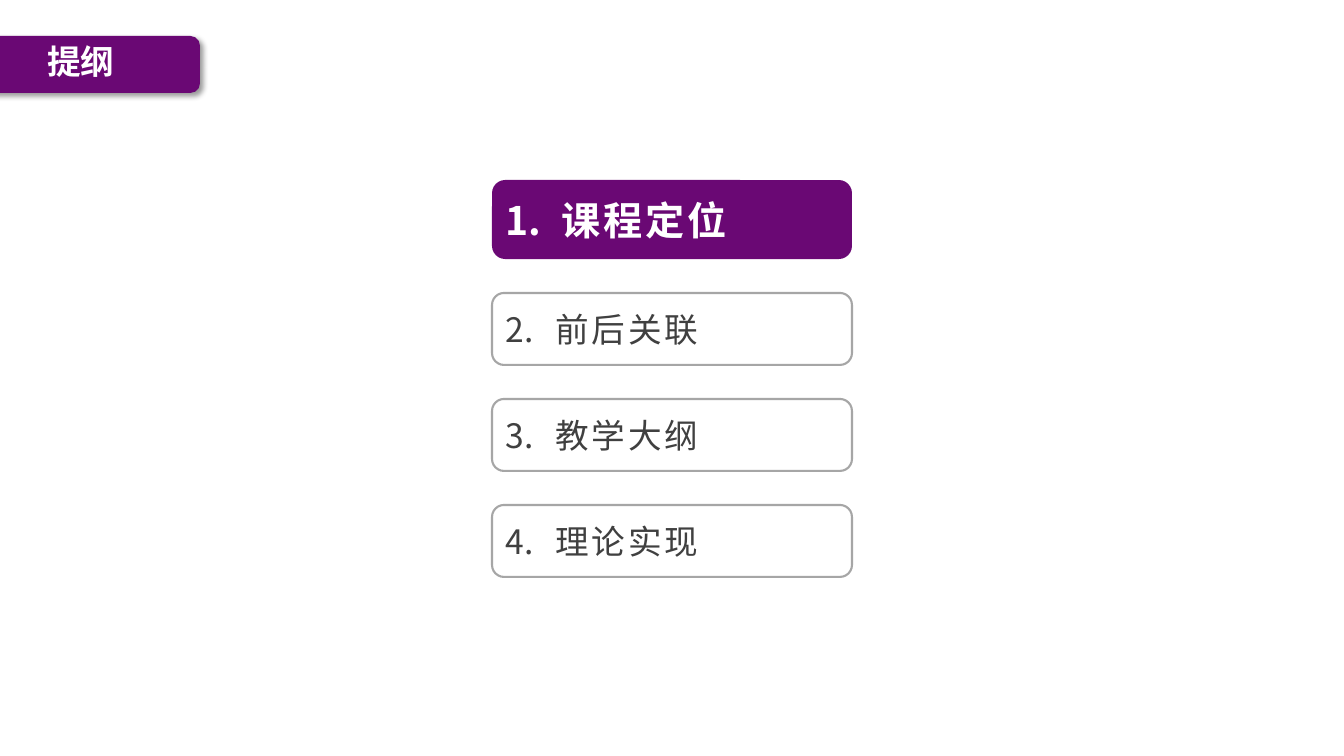
from lxml import etree
from pptx import Presentation
from pptx import util as u
from pptx.dml.color import RGBColor
from pptx.enum import shapes, text
from pptx.oxml.ns import qn

PX = 914400 / 100.8
FONT = "Noto Sans CJK SC"
COLORS = {"purple": "6A0874", "white": "FFFFFF", "border": "A6A6A6", "ink": "404040", "shadow": "000000"}


def px(*lengths):
    return [u.Emu(round(length * PX)) for length in lengths]


def style_run(span, latin, size, color, bold):
    span.font.name = latin
    span.font.size = u.Pt(size)
    span.font.bold = bold
    span.font.color.rgb = RGBColor.from_string(COLORS[color])
    etree.SubElement(span.font._element, qn("a:ea"), typeface=FONT)


deck = Presentation()
deck.slide_width, deck.slide_height = px(1344, 756)
page = deck.slides.add_slide(deck.slide_layouts[5])

banner = page.shapes.add_shape(shapes.MSO_SHAPE.ROUNDED_RECTANGLE, *px(-82, 36, 282, 57))
banner.fill.solid()
banner.fill.fore_color.rgb = RGBColor.from_string(COLORS["purple"])
banner.line.fill.background()
banner.shadow.inherit = False
effects = banner._element.spPr.find(qn("a:effectLst"))
shadow = etree.SubElement(effects, qn("a:outerShdw"), blurRad=str(u.Pt(4)), dist=str(u.Pt(3)),
                          dir="2700000", algn="tl", rotWithShape="0")
shade = etree.SubElement(shadow, qn("a:srgbClr"), val=COLORS["shadow"])
etree.SubElement(shade, qn("a:alpha"), val="40000")

title = page.shapes.title
title.left, title.top, title.width, title.height = px(37, 36, 162, 55)
frame = title.text_frame
frame.text = "提纲"
frame.auto_size = text.MSO_AUTO_SIZE.NONE
frame.vertical_anchor = text.MSO_ANCHOR.TOP
frame.paragraphs[0].alignment = text.PP_ALIGN.LEFT
style_run(frame.paragraphs[0].runs[0], FONT, 24, "white", True)
page.shapes._spTree.append(title._element)

top, gap = 180, 34
for number, topic in enumerate(["课程定位", "前后关联", "教学大纲", "理论实现"], start=1):
    current = number == 1
    height, indent, size = (79, 56, 28) if current else (72, 50, 24)
    box = page.shapes.add_shape(shapes.MSO_SHAPE.ROUNDED_RECTANGLE, *px(492, top, 360, height))
    box.shadow.inherit = False
    if current:
        box.fill.solid()
        box.fill.fore_color.rgb = RGBColor.from_string(COLORS["purple"])
        box.line.fill.background()
    else:
        box.fill.background()
        box.line.color.rgb = RGBColor.from_string(COLORS["border"])
        box.line.width = u.Pt(1.5)

    frame = box.text_frame
    frame.text = topic
    frame.word_wrap = True
    frame.vertical_anchor = text.MSO_ANCHOR.MIDDLE
    frame.margin_left, frame.margin_right, frame.margin_top, frame.margin_bottom = px(10, 10, 12, 12)
    para = frame.paragraphs[0]
    para.alignment = text.PP_ALIGN.LEFT
    properties = para._p.get_or_add_pPr()
    hanging = px(indent)[0]
    properties.set("marL", str(hanging))
    properties.set("indent", str(-hanging))
    etree.SubElement(properties, qn("a:buFont"), typeface=FONT)
    etree.SubElement(properties, qn("a:buAutoNum"), type="arabicPeriod", startAt=str(number))
    span = para.runs[0]
    style_run(span, "Arial", size, "white" if current else "ink", current)
    span.font._element.set("spc", "200")
    top += height + gap

deck.save("out.pptx")
